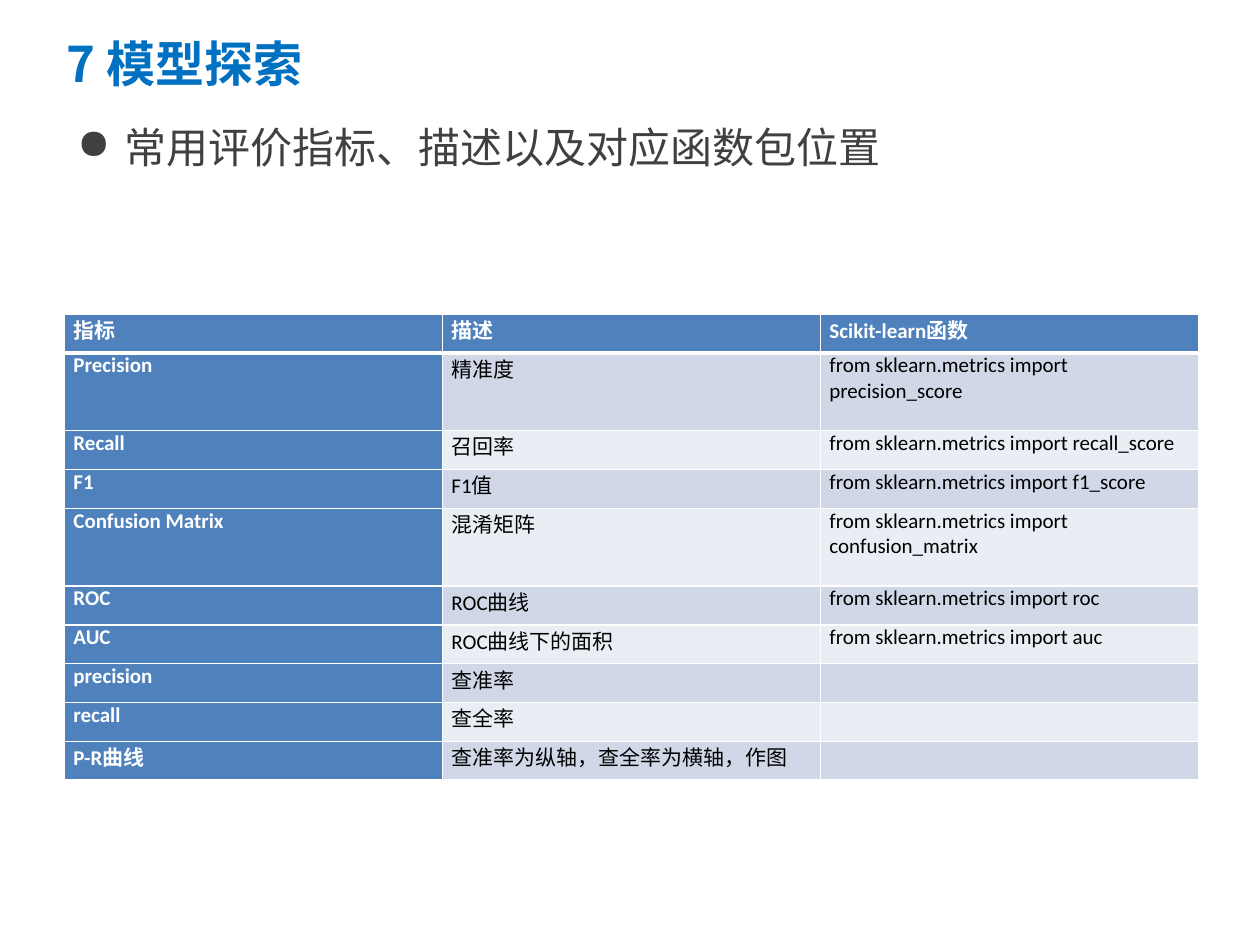
from dataclasses import dataclass

from lxml.etree import SubElement
from pptx import Presentation
from pptx.dml.color import RGBColor as RGB
from pptx.enum.text import MSO_ANCHOR as Anchor
from pptx.oxml.ns import qn
from pptx.util import Pt


@dataclass(frozen=True)
class Theme:
    title: str = "0070C0"
    body: str = "404040"
    head: str = "4F81BD"
    bands: tuple = ("D0D8E8", "E9EDF4")
    light: str = "FFFFFF"
    dark: str = "000000"
    title_pt: int = 28
    body_pt: int = 24
    cell_pt: int = 12
    title_font: str = "Noto Sans CJK SC"
    body_font: str = "Times New Roman"
    cell_font: str = "Calibri"
    asian_font: str = "Noto Sans CJK SC"


class Deck:
    """Holds the theme and the current slide, and adds elements to it."""

    def __init__(self, width, height):
        self.theme = Theme()
        self.prs = Presentation()
        self.prs.slide_width, self.prs.slide_height = Pt(width), Pt(height)
        self.s = self.prs.slides.add_slide(self.prs.slide_layouts[6])

    def run(self, p, text, font, size, color, bold=False):
        r = p.add_run()
        r.text = text
        r.font.name, r.font.size, r.font.bold = font, Pt(size), bold
        r.font.color.rgb = RGB.from_string(color)
        SubElement(r.font._element, qn("a:ea"), typeface=self.theme.asian_font)

    def text(self, box, text, font, size, color, bold=False, anchor=Anchor.TOP):
        sp = self.s.shapes.add_textbox(*map(Pt, box))
        tf = sp.text_frame
        tf.word_wrap, tf.vertical_anchor = True, anchor
        p = tf.paragraphs[0]
        self.run(p, text, font, size, color, bold)
        return p

    def bullet(self, box, text, font, size, color, indent):
        p = self.text(box, text, font, size, color)
        pPr = p._p.get_or_add_pPr()
        pPr.set("marL", str(Pt(indent)))
        pPr.set("indent", str(-Pt(indent)))
        SubElement(pPr, qn("a:buChar"), char="●")

    def border(self, cell, side, width):
        ln = SubElement(cell._tc.get_or_add_tcPr(), qn(f"a:ln{side}"), w=str(Pt(width)))
        fill = SubElement(ln, qn("a:solidFill"))
        SubElement(fill, qn("a:srgbClr"), val=self.theme.light)

    def cell(self, cell, text, row, col):
        t = self.theme
        is_head = row == 0 or col == 0
        widths = {"L": 1, "R": 1, "T": 3 if row == 1 else 1, "B": 3 if row == 0 else 1}
        for side, width in widths.items():
            self.border(cell, side, width)
        cell.fill.solid()
        cell.fill.fore_color.rgb = RGB.from_string(t.head if is_head else t.bands[(row - 1) % 2])
        cell.margin_left = cell.margin_right = Pt(5)
        cell.margin_top = cell.margin_bottom = 0
        if text:
            p = cell.text_frame.paragraphs[0]
            p.space_after = Pt(10)
            self.run(p, text, t.cell_font, t.cell_pt, t.light if is_head else t.dark, is_head)

    def table(self, left, top, col_width, row_height, rows, tall_rows):
        cols = len(rows[0])
        heights = [row_height * (2 if i in tall_rows else 1) for i in range(len(rows))]
        frame = self.s.shapes.add_table(
            len(rows), cols, Pt(left), Pt(top), Pt(col_width * cols), Pt(sum(heights)))
        tbl = frame.table
        for column in tbl.columns:
            column.width = Pt(col_width)
        for i, (values, height) in enumerate(zip(rows, heights)):
            tbl.rows[i].height = Pt(height)
            for j, value in enumerate(values):
                self.cell(tbl.cell(i, j), value, i, j)


METRICS = [
    ("指标", "描述", "Scikit-learn函数"),
    ("Precision", "精准度", "from sklearn.metrics import precision_score"),
    ("Recall", "召回率", "from sklearn.metrics import recall_score"),
    ("F1", "F1值", "from sklearn.metrics import f1_score"),
    ("Confusion Matrix", "混淆矩阵", "from sklearn.metrics import confusion_matrix"),
    ("ROC", "ROC曲线", "from sklearn.metrics import roc"),
    ("AUC", "ROC曲线下的面积", "from sklearn.metrics import auc"),
    ("precision", "查准率", ""),
    ("recall", "查全率", ""),
    ("P-R曲线", "查准率为纵轴，查全率为横轴，作图", ""),
]


def main():
    deck = Deck(720, 540)
    t = deck.theme
    deck.text((31, 12, 640, 48), "7 模型探索", t.title_font, t.title_pt, t.title,
              bold=True, anchor=Anchor.MIDDLE)
    deck.table(37, 179.5, 216, 22.2, METRICS, tall_rows=(1, 4))
    deck.bullet((37, 66, 652, 96), "常用评价指标、描述以及对应函数包位置",
                t.body_font, t.body_pt, t.body, indent=27)
    deck.prs.save("out.pptx")


if __name__ == "__main__":
    main()
